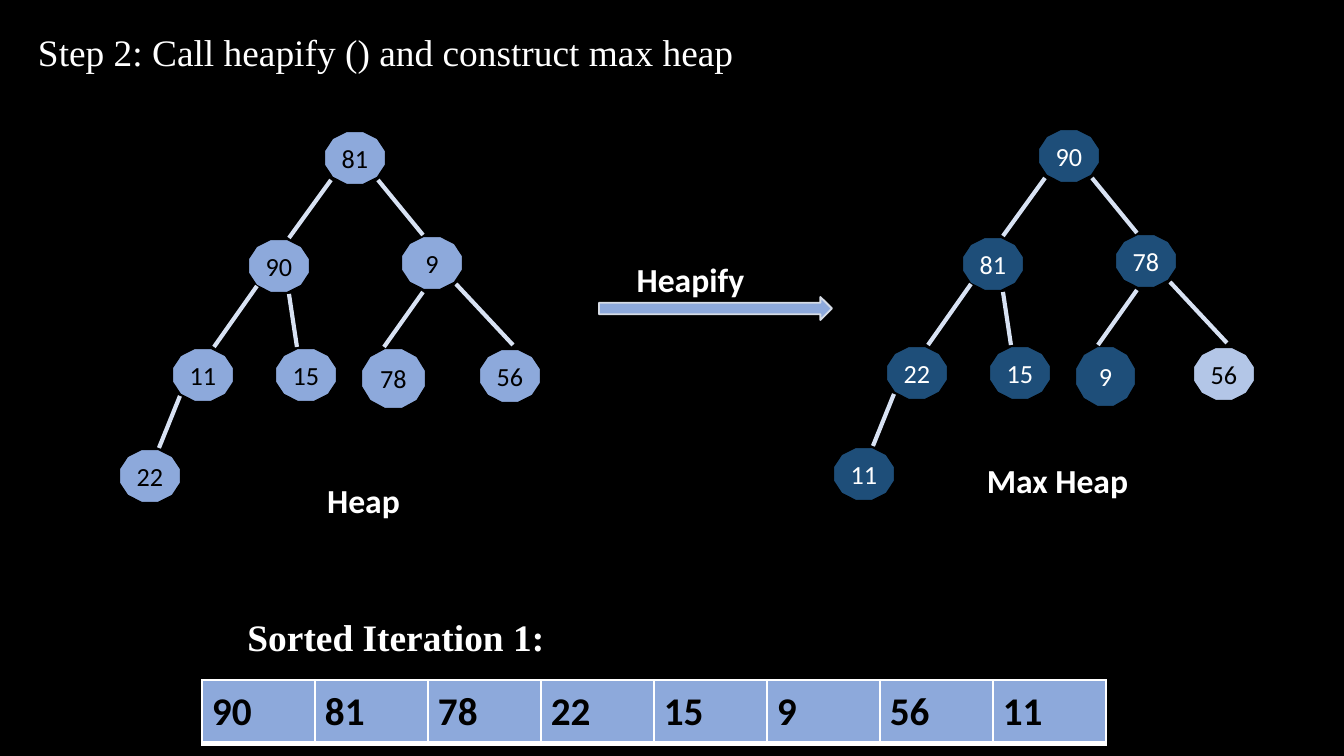
"""Build the heapify slide: a heap, its max heap and the resulting array."""
import pptx
import pptx.dml.color
import pptx.enum.shapes
import pptx.enum.text
import pptx.oxml
import pptx.oxml.ns
import pptx.util

SCALE = 914400 / 134.4
HEX = {"black": "000000", "white": "FFFFFF", "blue": "8DA9DB", "navy": "1E4E79",
       "pale": "B3C6E7", "edge": "D8E2F3", "rim": "D5DBE5"}
KIND = pptx.enum.shapes.MSO_SHAPE
ALIGN = pptx.enum.text.PP_ALIGN
MIDDLE = pptx.enum.text.MSO_ANCHOR.MIDDLE


def emu(*vals):
    return [pptx.util.Emu(round(val * SCALE)) for val in vals]


def write(frame, text, size, color, align, bold=False, face="Calibri"):
    para = frame.paragraphs[0]
    para.text = text
    para.alignment = align
    para.font.name = face
    para.font.size = pptx.util.Pt(size)
    para.font.bold = bold
    para.font.color.rgb = rgb[color]


rgb = {name: pptx.dml.color.RGBColor.from_string(code) for name, code in HEX.items()}
deck = pptx.Presentation()
deck.slide_width, deck.slide_height = emu(1344, 756)
slide = deck.slides.add_slide(deck.slide_layouts[6])
slide.background.fill.solid()
slide.background.fill.fore_color.rgb = rgb["black"]
shapes = slide.shapes

spots = [(323, 130), (247, 238), (400, 235), (171, 347), (274, 347),
         (360, 347), (478, 348), (118, 448)]
edges = [(289, 238, 331, 180), (214, 347, 257, 286), (159, 448, 180, 396),
         (423, 235, 378, 180), (289, 294, 297, 347), (456, 284, 513, 345),
         (384, 347, 423, 292)]
trees = [(0, 0, "blue", "black", 67, [81, 90, 9, 11, 15, 78, 56, 22]),
         (714, -2, "navy", "white", 63, [90, 81, 78, 22, 15, 9, 56, 11])]

for dx, dy, fill, ink, wide, keys in trees:
    for slot, ((x, y), key) in enumerate(zip(spots, keys)):
        size = (wide, 63) if slot == 5 else (64, 56)
        last = dx > 0 and slot == 6
        node = shapes.add_shape(KIND.DODECAGON, *emu(x + dx, y + dy, *size))
        node.shadow.inherit = False
        node.fill.solid()
        node.fill.fore_color.rgb = rgb["pale" if last else fill]
        node.line.color.rgb = rgb["black"]
        node.line.width = pptx.util.Pt(2.25)
        frame = node.text_frame
        frame.margin_left, frame.margin_top, frame.margin_right, frame.margin_bottom = emu(10, 0, 10, 0)
        frame.vertical_anchor = MIDDLE
        write(frame, str(key), 14, "black" if last else ink, ALIGN.CENTER)
    for x1, y1, x2, y2 in edges:
        line = shapes.add_connector(pptx.enum.shapes.MSO_CONNECTOR.STRAIGHT,
                                    *emu(x1 + dx, y1 + dy, x2 + dx, y2 + dy))
        line.line.color.rgb = rgb["edge"]
        line.line.width = pptx.util.Pt(2.25)
        line._element.spPr.append(pptx.oxml.parse_xml(
            f'<a:effectLst {pptx.oxml.ns.nsdecls("a")}/>'))

arrow = shapes.add_shape(KIND.RIGHT_ARROW, *emu(599, 297, 233, 23))
arrow.shadow.inherit = False
arrow.fill.solid()
arrow.fill.fore_color.rgb = rgb["blue"]
arrow.line.color.rgb = rgb["rim"]
arrow.line.width = pptx.util.Pt(1)

serif = "Times New Roman"
labels = [
    ("Heap", (247, 475, 233, 51), 18, ALIGN.CENTER, True, "Calibri"),
    ("Max Heap", (941, 455, 233, 51), 18, ALIGN.CENTER, True, "Calibri"),
    ("Heapify", (574, 254, 233, 51), 18, ALIGN.CENTER, True, "Calibri"),
    ("Sorted Iteration 1:", (182, 609, 428, 55), 20, ALIGN.CENTER, True, serif),
    ("Step 2: Call heapify () and construct max heap", (28, 24, 778, 55), 20, ALIGN.LEFT, False, serif),
]
for text, box, size, align, bold, face in labels:
    frame = shapes.add_textbox(*emu(*box)).text_frame
    frame.word_wrap = True
    frame.auto_size = pptx.enum.text.MSO_AUTO_SIZE.SHAPE_TO_FIT_TEXT
    frame.margin_left, frame.margin_top, frame.margin_right, frame.margin_bottom = emu(10, 5, 10, 5)
    write(frame, text, size, "white", align, bold, face)

heap = trees[1][-1]
table = shapes.add_table(1, len(heap), *emu(202, 680, 113 * len(heap), 64)).table
for col, key in enumerate(heap):
    table.columns[col].width = emu(113)[0]
    cell = table.cell(0, col)
    cell.margin_left, cell.margin_top, cell.margin_right, cell.margin_bottom = emu(10, 5, 10, 5)
    cell.vertical_anchor = MIDDLE
    write(cell.text_frame, str(key), 21, "black", ALIGN.LEFT, True)
    for side, width in zip("LRTB", (1, 1, 1, 3)):
        cell._tc.get_or_add_tcPr().append(pptx.oxml.parse_xml(
            f'<a:ln{side} {pptx.oxml.ns.nsdecls("a")} w="{pptx.util.Pt(width)}"><a:solidFill>'
            f'<a:srgbClr val="{HEX["white"]}"/></a:solidFill></a:ln{side}>'))
    cell.fill.solid()
    cell.fill.fore_color.rgb = rgb["blue"]

deck.save("out.pptx")
